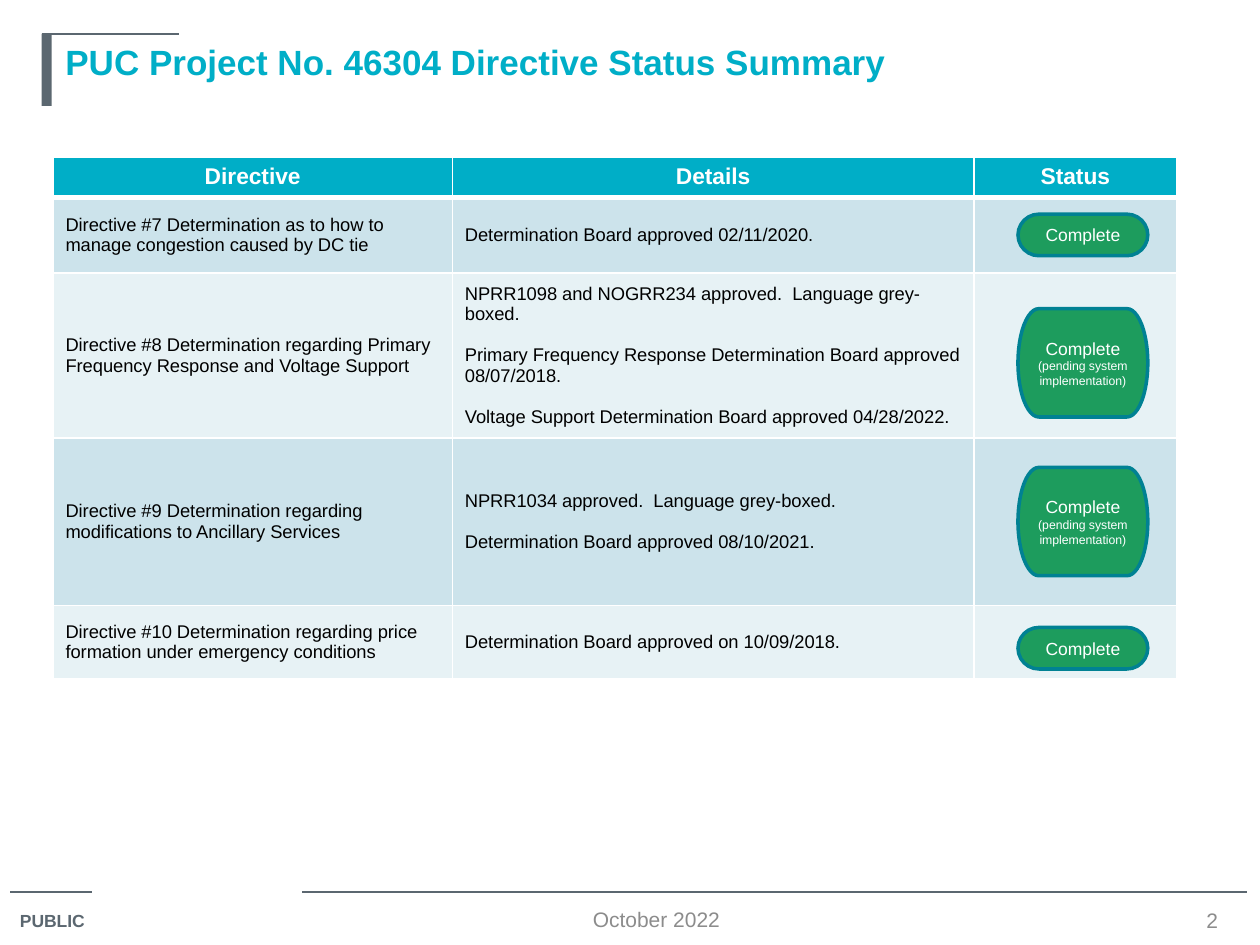
"""Build the directive status summary slide."""
from dataclasses import dataclass

from lxml import etree
from pptx import Presentation
from pptx import util as u
from pptx.dml.color import RGBColor
from pptx.enum import shapes, text
from pptx.oxml import ns


@dataclass(frozen=True)
class Theme:
    font: str = "Arial"
    teal: str = "00AEC7"
    slate: str = "5B6770"
    grey: str = "8C8C8C"
    white: str = "FFFFFF"
    black: str = "000000"
    bands: tuple = ("CCE3EB", "E7F2F5")
    badge: str = "1D9C5D"
    badge_edge: str = "008193"
    title: float = 20
    header: float = 13
    body: float = 10.5
    footer: float = 12
    label: float = 10
    note: float = 7


class SlideBuilder:
    def __init__(self, page, theme):
        self.page = page
        self.theme = theme

    def set_text(self, frame, lines, size, color, bold=False, align=text.PP_ALIGN.LEFT, gap=0):
        frame.text = "\n".join(lines)
        for index, para in enumerate(frame.paragraphs):
            para.alignment = align
            if index and gap:
                para.space_before = u.Pt(gap)
            for span in para.runs:
                span.font.name = self.theme.font
                span.font.size = u.Pt(size)
                span.font.bold = bold
                span.font.color.rgb = RGBColor.from_string(color)

    def label(self, area, words, size, color, anchor=text.MSO_ANCHOR.TOP, wrap=True, **style):
        box = self.page.shapes.add_textbox(*map(u.Inches, area))
        box.text_frame.word_wrap = wrap
        box.text_frame.vertical_anchor = anchor
        self.set_text(box.text_frame, [words], size, color, **style)

    def rule(self, left, right, top):
        line = self.page.shapes.add_connector(
            shapes.MSO_CONNECTOR.STRAIGHT, *map(u.Inches, (left, top, right, top)))
        line.line.color.rgb = RGBColor.from_string(self.theme.slate)
        line.line.width = u.Pt(0.75)
        etree.SubElement(line._element.spPr, ns.qn("a:effectLst"))

    def shape(self, kind, area, fill, edge=None):
        shape = self.page.shapes.add_shape(kind, *map(u.Inches, area))
        shape.shadow.inherit = False
        shape.fill.solid()
        shape.fill.fore_color.rgb = RGBColor.from_string(fill)
        if edge:
            shape.line.color.rgb = RGBColor.from_string(edge)
            shape.line.width = u.Pt(2)
        else:
            shape.line.fill.background()
        return shape

    def badge(self, top, height, lines):
        theme = self.theme
        shape = self.shape(shapes.MSO_SHAPE.FLOWCHART_TERMINATOR,
                           (8.08, top, 1.03, height), theme.badge, theme.badge_edge)
        frame = shape.text_frame
        frame.word_wrap = True
        frame.vertical_anchor = text.MSO_ANCHOR.MIDDLE
        self.set_text(frame, lines, theme.label, theme.white, align=text.PP_ALIGN.CENTER)
        for para in frame.paragraphs[1:]:
            para.runs[0].font.size = u.Pt(theme.note)

    def cell_style(self, cell, fill, bottom=1):
        cell.fill.solid()
        cell.fill.fore_color.rgb = RGBColor.from_string(fill)
        props = cell._tc.get_or_add_tcPr()
        for index, (side, width) in enumerate(zip("LRTB", (1, 1, 1, bottom))):
            border = etree.Element(ns.qn(f"a:ln{side}"), w=str(u.Pt(width)))
            paint = etree.SubElement(border, ns.qn("a:solidFill"))
            etree.SubElement(paint, ns.qn("a:srgbClr"), val=self.theme.white)
            props.insert(index, border)

    def table(self, left, top, widths, heights, headings, rows):
        theme = self.theme
        area = map(u.Inches, (left, top, sum(widths), sum(heights)))
        table = self.page.shapes.add_table(len(heights), len(widths), *area).table
        for column, width in zip(table.columns, widths):
            column.width = u.Inches(width)
        for row, height in zip(table.rows, heights):
            row.height = u.Inches(height)
        for cell, heading in zip(table.rows[0].cells, headings):
            self.cell_style(cell, theme.teal, bottom=3)
            self.set_text(cell.text_frame, [heading], theme.header, theme.white,
                          bold=True, align=text.PP_ALIGN.CENTER)
        for index, (directive, details) in enumerate(rows):
            cells = table.rows[index + 1].cells
            for cell, lines in zip(cells, ([directive], details, [])):
                self.cell_style(cell, theme.bands[index % 2])
                cell.vertical_anchor = text.MSO_ANCHOR.MIDDLE
                self.set_text(cell.text_frame, lines, theme.body, theme.black, gap=12)


DIRECTIVES = [
    ("Directive #7 Determination as to how to manage congestion caused by DC tie",
     ["Determination Board approved 02/11/2020."]),
    ("Directive #8 Determination regarding Primary Frequency Response and Voltage Support",
     ["NPRR1098 and NOGRR234 approved.  Language grey-boxed.",
      "Primary Frequency Response Determination Board approved 08/07/2018.",
      "Voltage Support Determination Board approved 04/28/2022."]),
    ("Directive #9 Determination regarding modifications to Ancillary Services",
     ["NPRR1034 approved.  Language grey-boxed.",
      "Determination Board approved 08/10/2021."]),
    ("Directive #10 Determination regarding price formation under emergency conditions",
     ["Determination Board approved on 10/09/2018."]),
]
DONE = ["Complete"]
PENDING = DONE + ["(pending system implementation)"]


def main():
    deck = Presentation()
    deck.slide_width, deck.slide_height = u.Inches(10), u.Inches(7.5)
    theme = Theme()
    slide = SlideBuilder(deck.slides.add_slide(deck.slide_layouts[6]), theme)
    middle, center = text.MSO_ANCHOR.MIDDLE, text.PP_ALIGN.CENTER

    for left, right, top in ((0.08, 0.73, 7.08), (2.4, 9.9, 7.08), (0.33, 1.42, 0.27)):
        slide.rule(left, right, top)
    slide.shape(shapes.MSO_SHAPE.RECTANGLE, (0.33, 0.27, 0.08, 0.57), theme.slate)
    slide.label((0.42, 0.27, 9.25, 0.57), "PUC Project No. 46304 Directive Status Summary",
                theme.title, theme.teal, bold=True)
    slide.table(0.42, 1.25, (3.17, 4.14, 1.61), (0.3, 0.6, 1.24, 1.33, 0.58),
                ("Directive", "Details", "Status"), DIRECTIVES)
    for top, height, lines in ((1.7, 0.33, DONE), (2.45, 0.86, PENDING),
                               (3.71, 0.86, PENDING), (4.98, 0.33, DONE)):
        slide.badge(top, height, lines)
    slide.label((0.06, 7.17, 0.77, 0.28), "PUBLIC", theme.label, theme.slate,
                wrap=False, bold=True)
    slide.label((3, 7.17, 4.42, 0.25), "October 2022", theme.footer, theme.grey,
                anchor=middle, align=center)
    slide.label((9.33, 7.18, 0.58, 0.24), "2", theme.footer, theme.grey,
                anchor=middle, align=center)
    deck.save("out.pptx")


if __name__ == "__main__":
    main()
